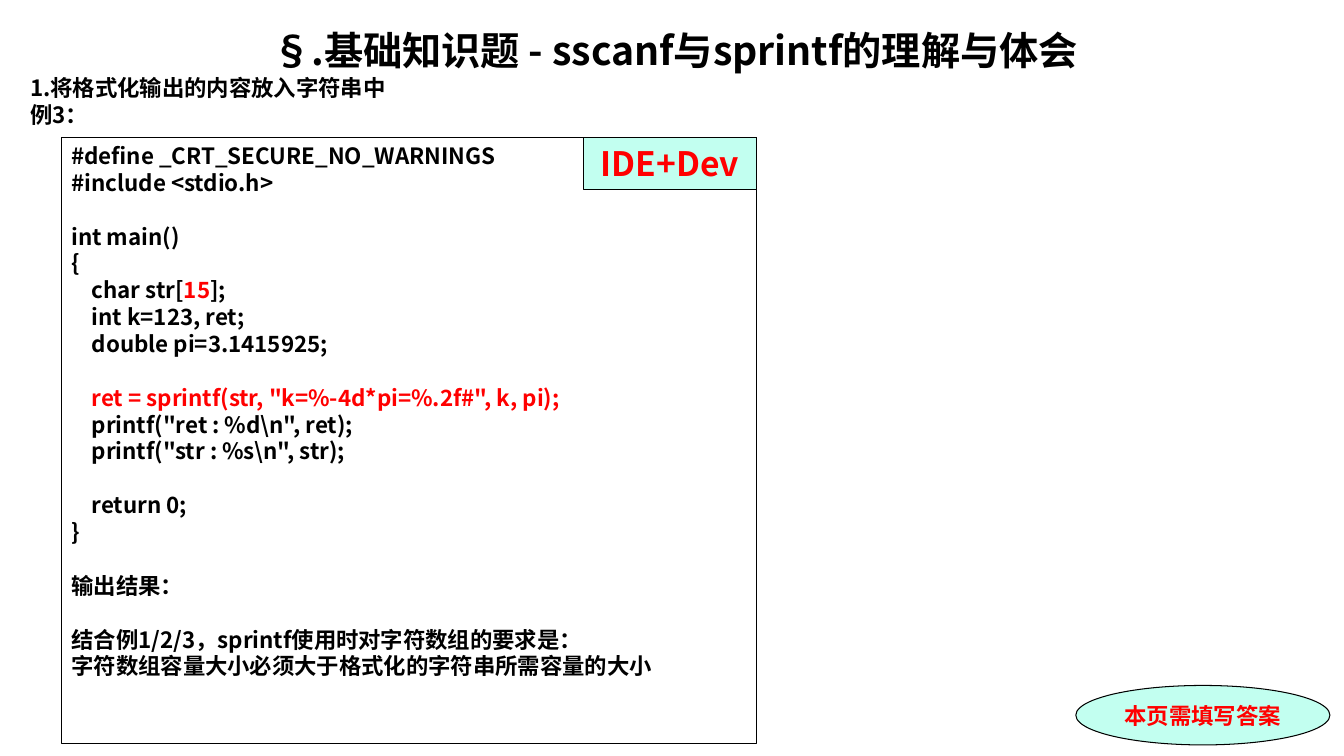
from lxml import etree
from pptx import Presentation
from pptx.dml.color import RGBColor
from pptx.enum.shapes import MSO_SHAPE
from pptx.enum.text import MSO_ANCHOR, MSO_AUTO_SIZE, PP_ALIGN
from pptx.oxml.ns import qn
from pptx.util import Inches, Pt

RECT, OVAL = MSO_SHAPE.RECTANGLE, MSO_SHAPE.OVAL
TOP, MIDDLE = MSO_ANCHOR.TOP, MSO_ANCHOR.MIDDLE
LEFT, CENTER = PP_ALIGN.LEFT, PP_ALIGN.CENTER
NO_FIT = MSO_AUTO_SIZE.NONE
TITLE_ONLY = 5
FONT = "Noto Sans CJK SC"
LINE_RATIO = 1.2
COLORS = {"black": "000000", "red": "FF0000", "mint": "C2FFF0"}

RED_LINE = '    ret = sprintf(str, "k=%-4d*pi=%.2f#", k, pi);'
CODE = [
    "#define _CRT_SECURE_NO_WARNINGS",
    "#include <stdio.h>",
    "",
    "int main()",
    "{",
    [("    char str[", "black"), ("15", "red"), ("];", "black")],
    "    int k=123, ret;",
    "    double pi=3.1415925;",
    "",
    [(RED_LINE, "red")],
    r'    printf("ret : %d\n", ret);',
    r'    printf("str : %s\n", str);',
    "",
    "    return 0;",
    "}",
    "",
    "输出结果：",
    "",
    "结合例1/2/3，sprintf使用时对字符数组的要求是：",
    "字符数组容量大小必须大于格式化的字符串所需容量的大小",
]


def rgb(name):
    return RGBColor.from_string(COLORS[name])


def write(tf, lines, size=16, color="black", font=FONT, align=LEFT, anchor=TOP):
    tf.word_wrap = True
    tf.auto_size = NO_FIT
    tf.vertical_anchor = anchor
    pitch = Pt(size * LINE_RATIO)
    p, gap = None, 0
    for line in lines:
        if not line:
            gap += pitch
            continue
        p = tf.add_paragraph() if p is not None else tf.paragraphs[0]
        p.alignment = align
        p.line_spacing = pitch
        p.space_before = gap
        gap = 0
        for text, shade in [(line, color)] if isinstance(line, str) else line:
            r = p.add_run()
            r.text = text
            r.font.size = Pt(size)
            r.font.bold = True
            r.font.name = font
            r.font.color.rgb = rgb(shade)
            ea = etree.SubElement(r.font._element, qn("a:ea"))
            ea.set("typeface", FONT)


def add_panel(slide, kind, box, lines, fill=None, **fmt):
    sp = slide.shapes.add_shape(kind, *map(Inches, box))
    sp.shadow.inherit = False
    if fill:
        sp.fill.solid()
        sp.fill.fore_color.rgb = rgb(fill)
    else:
        sp.fill.background()
    sp.line.color.rgb = rgb("black")
    sp.line.width = Pt(0.75)
    write(sp.text_frame, lines, **fmt)


def add_heading(slide, left, top, width):
    title = slide.shapes.title
    title.left, title.top = Inches(left), Inches(top)
    title.width, title.height = Inches(width), Inches(0.55)
    write(title.text_frame, ["§.基础知识题 - sscanf与sprintf的理解与体会"],
          size=28, align=CENTER)
    sub = slide.shapes.add_textbox(Inches(left), Inches(top + 0.48),
                                   Inches(width), Inches(0.64))
    write(sub.text_frame, ["1.将格式化输出的内容放入字符串中", "例3："])


def add_code(slide, left, top, width, height):
    add_panel(slide, RECT, (left, top, width, height), CODE)
    tag_w = 1.71
    add_panel(slide, RECT, (left + width - tag_w, top, tag_w, 0.52), ["IDE+Dev"],
              fill="mint", size=24, color="red", align=CENTER, anchor=MIDDLE)


def add_reminder(slide, left, top, width, height):
    add_panel(slide, OVAL, (left, top, width, height), ["本页需填写答案"],
              fill="mint", color="red", font="Times New Roman",
              align=CENTER, anchor=MIDDLE)


def main():
    prs = Presentation()
    prs.slide_width, prs.slide_height = Inches(13.33), Inches(7.5)
    slide = prs.slides.add_slide(prs.slide_layouts[TITLE_ONLY])
    add_heading(slide, 0.2, 0.21, 12.99)
    add_code(slide, 0.61, 1.36, 6.89, 6.02)
    add_reminder(slide, 10.67, 6.8, 2.52, 0.59)
    prs.save("out.pptx")


if __name__ == "__main__":
    main()
